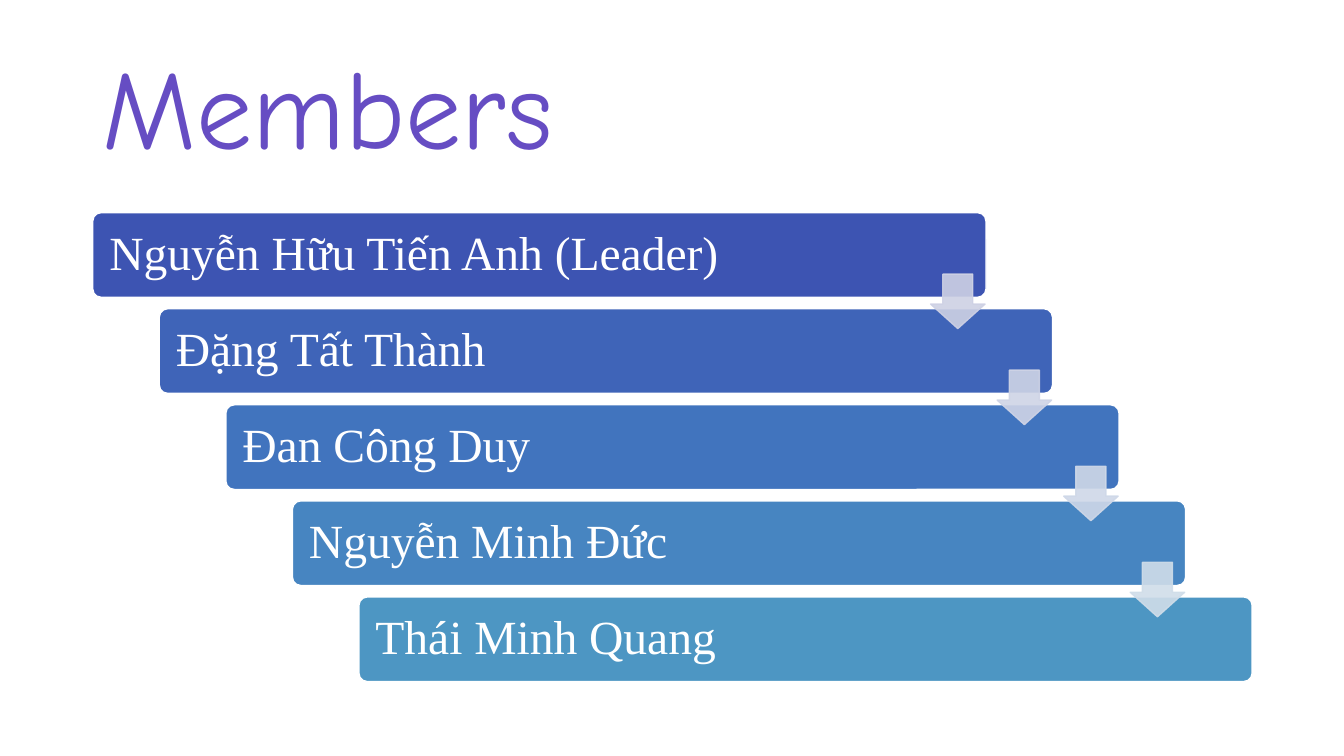
from lxml.etree import SubElement
from pptx import Presentation
from pptx.dml.color import RGBColor
from pptx.enum.shapes import MSO_SHAPE
from pptx.enum.text import MSO_ANCHOR, MSO_AUTO_SIZE, PP_ALIGN
from pptx.oxml.ns import qn
from pptx.util import Inches, Pt

COLOURS = {"background": "FFFFFF", "title": "664DC3", "text": "FFFFFF", "outline": "FFFFFF"}
MEMBERS = [
    ("Nguyễn Hữu Tiến Anh (Leader)", "3D54B2"),
    ("Đặng Tất Thành", "3F64B8"),
    ("Đan Công Duy", "4174BE"),
    ("Nguyễn Minh Đức", "4785C1"),
    ("Thái Minh Quang", "4D96C3"),
]
ARROW_FILLS = ["CED1E4", "CFD4E6", "CFD8E8", "D0DDE9"]

LEFT, TOP = 0.92, 2.11
STEP_X, STEP_Y = 0.66, 0.953
BAR_WIDTH, BAR_HEIGHT = 8.86, 0.84
ARROW_SIZE = 0.54
ARROW_OFFSET_X, ARROW_OFFSET_Y = 8.31, 0.61


def write_text(shape, text, *, font, size, colour, inset=0.1, spacing=0.9):
    frame = shape.text_frame
    frame.word_wrap = True
    frame.auto_size = MSO_AUTO_SIZE.NONE
    frame.vertical_anchor = MSO_ANCHOR.MIDDLE
    frame.margin_left = frame.margin_right = Inches(inset)
    paragraph = frame.paragraphs[0]
    paragraph.alignment = PP_ALIGN.LEFT
    paragraph.line_spacing = spacing
    run = paragraph.add_run()
    run.text = text
    run.font.name = font
    run.font.size = Pt(size)
    run.font.color.rgb = RGBColor.from_string(colour)


def add_block(slide, kind, box, fill, outline, adjustments):
    shape = slide.shapes.add_shape(kind, *map(Inches, box))
    shape.shadow.inherit = False
    for index, value in enumerate(adjustments):
        shape.adjustments[index] = value
    shape.fill.solid()
    shape.fill.fore_color.rgb = RGBColor.from_string(fill)
    shape.line.color.rgb = RGBColor.from_string(outline)
    shape.line.width = Pt(1)
    return shape


def set_opacity(shape, percent):
    """Apply the same opacity to the fill and the outline."""
    for colour in shape._element.spPr.iter(qn("a:srgbClr")):
        SubElement(colour, qn("a:alpha"), val=str(percent * 1000))


def add_title(slide, text):
    title = slide.shapes.title
    title.left, title.top = Inches(LEFT), Inches(0.4)
    title.width, title.height = Inches(11.5), Inches(1.45)
    write_text(title, text, font="Comic Neue", size=80, colour=COLOURS["title"])


def add_member(slide, step, name, fill):
    box = (LEFT + step * STEP_X, TOP + step * STEP_Y, BAR_WIDTH, BAR_HEIGHT)
    bar = add_block(slide, MSO_SHAPE.ROUNDED_RECTANGLE, box, fill, COLOURS["outline"], [0.1])
    write_text(bar, name, font="Times New Roman", size=34, colour=COLOURS["text"], inset=0.14)


def add_step_arrow(slide, step, fill):
    box = (LEFT + ARROW_OFFSET_X + step * STEP_X, TOP + ARROW_OFFSET_Y + step * STEP_Y,
           ARROW_SIZE, ARROW_SIZE)
    # Adjustments run shaft width, then head length
    arrow = add_block(slide, MSO_SHAPE.DOWN_ARROW, box, fill, fill, [0.55, 0.45])
    set_opacity(arrow, 90)


def main():
    presentation = Presentation()
    presentation.slide_width, presentation.slide_height = Inches(13.33), Inches(7.5)
    slide = presentation.slides.add_slide(presentation.slide_layouts[5])
    slide.background.fill.solid()
    slide.background.fill.fore_color.rgb = RGBColor.from_string(COLOURS["background"])
    add_title(slide, "Members")
    for step, (name, fill) in enumerate(MEMBERS):
        add_member(slide, step, name, fill)
    for step, fill in enumerate(ARROW_FILLS):
        add_step_arrow(slide, step, fill)
    presentation.save("out.pptx")


if __name__ == "__main__":
    main()
